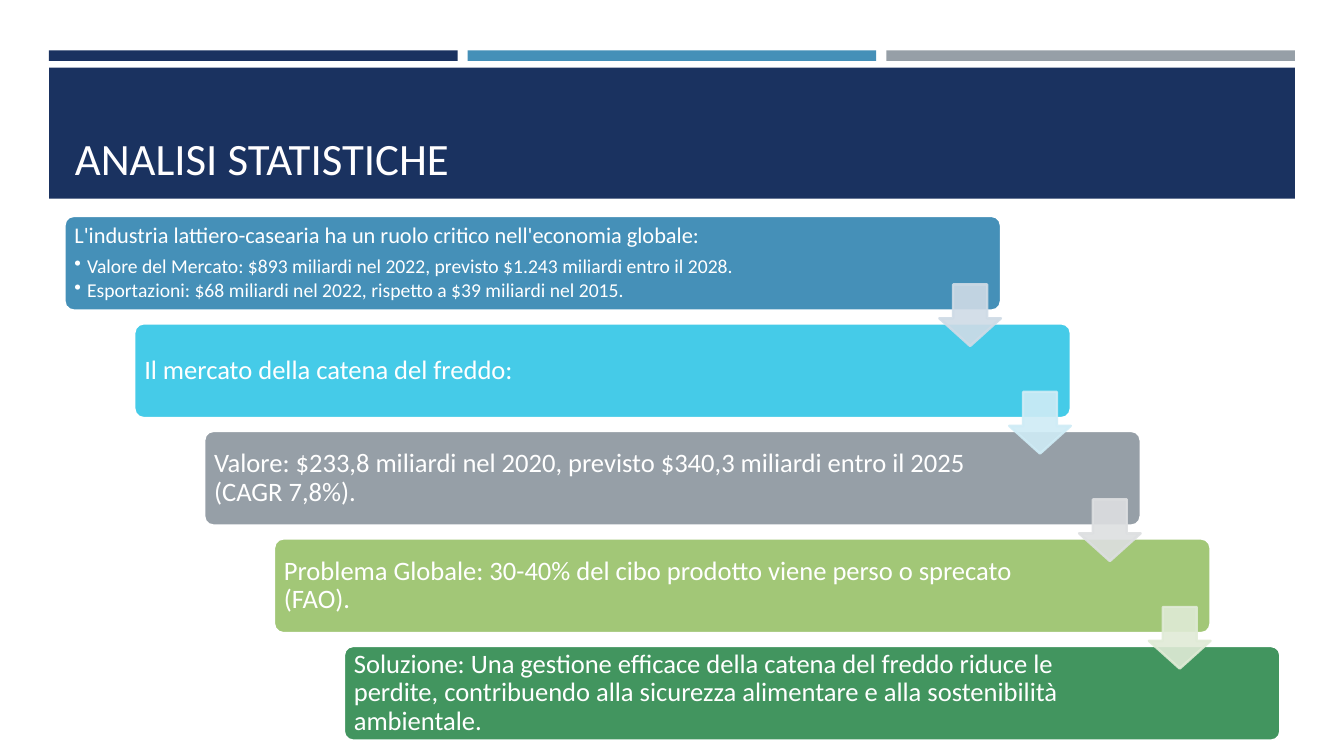
import pptx
import pptx.util
import pptx.dml.color
import pptx.enum.shapes
import pptx.enum.text
import pptx.oxml
import pptx.oxml.ns
from dataclasses import dataclass

Pt = pptx.util.Pt
RGB = pptx.dml.color.RGBColor.from_string
SHAPE = pptx.enum.shapes.MSO_SHAPE
ANCHOR = pptx.enum.text.MSO_ANCHOR
ALIGN = pptx.enum.text.PP_ALIGN


@dataclass(frozen=True)
class Theme:
    font: str = "Calibri"
    navy: str = "1A3260"
    blue: str = "4590B8"
    gray: str = "969FA7"
    white: str = "FFFFFF"
    title_color: str = "FFFEFF"
    title: float = 32
    step: float = 19
    intro: float = 16
    bullet: float = 14
    outline: float = 1.75


THEME = Theme()

# Fill, colour of the arrow to the next step, (text, size, bulleted) paragraphs
STEPS = [
    (THEME.blue, "CFDBE6", [
        ("L'industria lattiero-casearia ha un ruolo critico nell'economia globale:",
         THEME.intro, False),
        ("Valore del Mercato: $893 miliardi nel 2022, previsto $1.243 miliardi entro il 2028.",
         THEME.bullet, True),
        ("Esportazioni: $68 miliardi nel 2022, rispetto a $39 miliardi nel 2015.",
         THEME.bullet, True)]),
    ("45CBE8", "CFECF6", [("Il mercato della catena del freddo:", THEME.step, False)]),
    (THEME.gray, "DDDFE1", [
        ("Valore: $233,8 miliardi nel 2020, previsto $340,3 miliardi entro il 2025 (CAGR 7,8%).",
         THEME.step, False)]),
    ("A2C777", "E0EBD6", [
        ("Problema Globale: 30-40% del cibo prodotto viene perso o sprecato (FAO).",
         THEME.step, False)]),
    ("42955F", None, [
        ("Soluzione: Una gestione efficace della catena del freddo riduce le perdite, "
         "contribuendo alla sicurezza alimentare e alla sostenibilità ambientale.",
         THEME.step, False)]),
]


def assign(obj, values):
    for name, value in values.items():
        setattr(obj, name, value)


def add_block(s, kind, box, fill, line=None, adj=()):
    """Add a flat shape; box is left, top, width, height in points."""
    sp = s.shapes.add_shape(kind, *map(Pt, box))
    sp.shadow.inherit = False
    sp.fill.solid()
    sp.fill.fore_color.rgb = RGB(fill)
    if line:
        sp.line.color.rgb = RGB(line)
        sp.line.width = Pt(THEME.outline)
    else:
        sp.line.fill.background()
    for i, value in enumerate(adj):
        sp.adjustments[i] = value
    return sp


def set_frame(sp, anchor, left, top, right, bottom):
    tf = sp.text_frame
    assign(tf, dict(word_wrap=True, vertical_anchor=anchor,
                    margin_left=Pt(left), margin_top=Pt(top),
                    margin_right=Pt(right), margin_bottom=Pt(bottom)))
    return tf


def write(p, text, size, color, bulleted=False):
    if bulleted:
        pPr = p._p.get_or_add_pPr()
        pPr.set("marL", str(Pt(9)))
        pPr.set("indent", str(-Pt(9)))
        pPr.append(pptx.oxml.parse_xml(
            f'<a:buChar {pptx.oxml.ns.nsdecls("a")} char="•"/>'))
    p.alignment = ALIGN.LEFT
    r = p.add_run()
    r.text = text
    assign(r.font, dict(name=THEME.font, size=Pt(size)))
    r.font.color.rgb = RGB(color)


def set_opacity(sp, percent):
    """Apply one opacity to the fill and the outline."""
    for clr in sp._element.spPr.iter(pptx.oxml.ns.qn("a:srgbClr")):
        clr.append(pptx.oxml.parse_xml(
            f'<a:alpha {pptx.oxml.ns.nsdecls("a")} val="{percent * 1000}"/>'))


def add_header(s, x, y, w, h):
    bar_h, gap, band_top = 7.5, 7.2, 12.4
    bar_w = (w - 2 * gap) / 3
    for i, color in enumerate((THEME.navy, THEME.blue, THEME.gray)):
        add_block(s, SHAPE.RECTANGLE, (x + i * (bar_w + gap), y, bar_w, bar_h), color)
    band = add_block(s, SHAPE.RECTANGLE, (x, y + band_top, w, h - band_top), THEME.navy)
    tf = set_frame(band, ANCHOR.BOTTOM, 18.5, 4, 18.5, 10)
    write(tf.paragraphs[0], "ANALISI STATISTICHE", THEME.title, THEME.title_color)


def add_step(s, box, fill, paragraphs):
    sp = add_block(s, SHAPE.ROUNDED_RECTANGLE, box, fill, THEME.white, (0.1,))
    tf = set_frame(sp, ANCHOR.MIDDLE, 5.2, 0, 99, 0)
    for i, (text, size, bulleted) in enumerate(paragraphs):
        p = tf.paragraphs[0] if i == 0 else tf.add_paragraph()
        write(p, text, size, THEME.white, bulleted)
        after = 0.15 if bulleted else 0.35
        assign(p, dict(line_spacing=0.9, space_after=Pt(round(size * after, 1))))


def add_staircase(s, x, y, w, h):
    """Spread the steps from the top left to the bottom right of the box."""
    step_w, step_h, arrow = 669, 67.7, 44
    dx = (w - step_w) / (len(STEPS) - 1)
    dy = (h - step_h) / (len(STEPS) - 1)
    for i, (fill, _, paragraphs) in enumerate(STEPS):
        add_step(s, (x + i * dx, y + i * dy, step_w, step_h), fill, paragraphs)
    for i, (_, color, _) in enumerate(STEPS[:-1]):
        box = (x + i * dx + step_w - arrow, y + i * dy + 49, arrow, arrow)
        sp = add_block(s, SHAPE.DOWN_ARROW, box, color, color, (0.55, 0.45))
        set_opacity(sp, 90)


def main():
    prs = pptx.Presentation()
    assign(prs, dict(slide_width=Pt(960), slide_height=Pt(540)))
    s = prs.slides.add_slide(prs.slide_layouts[6])
    add_header(s, 35, 36, 890, 106)
    add_staircase(s, 46, 154.2, 868.6, 374.9)
    prs.save("out.pptx")


if __name__ == "__main__":
    main()
